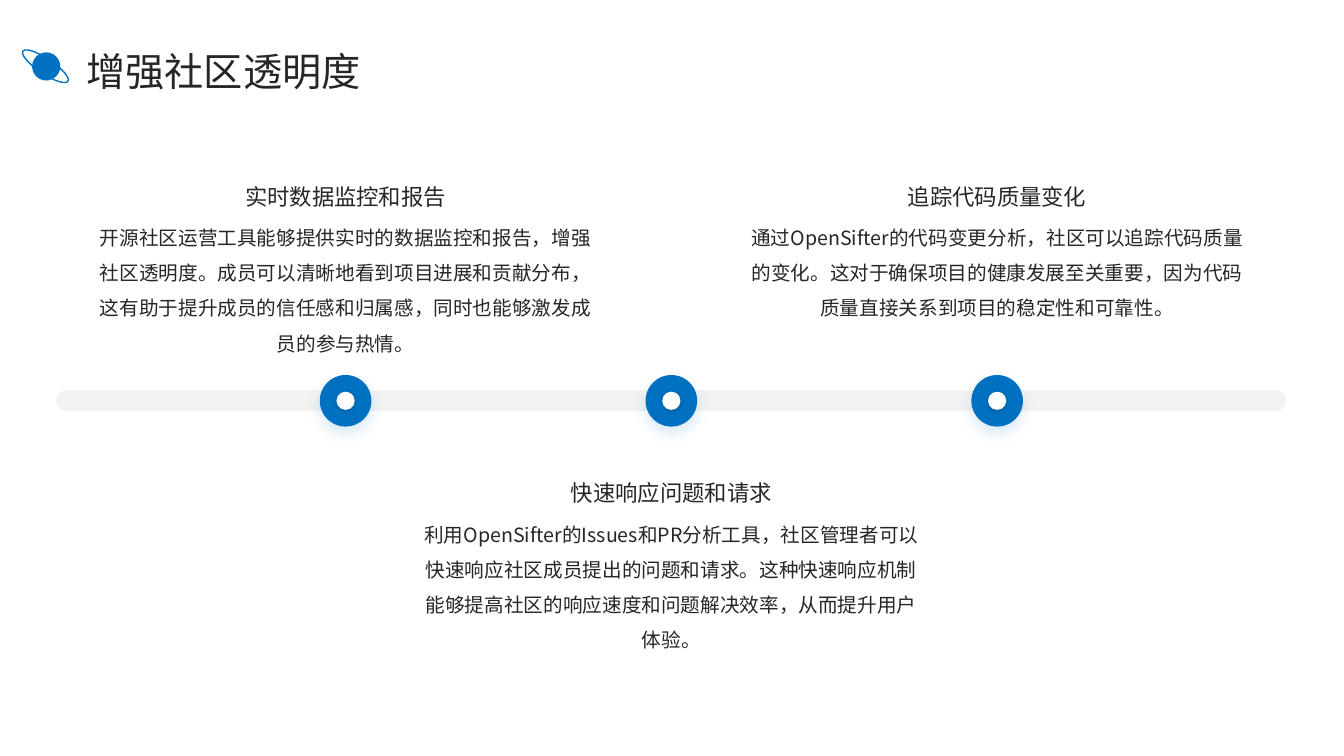
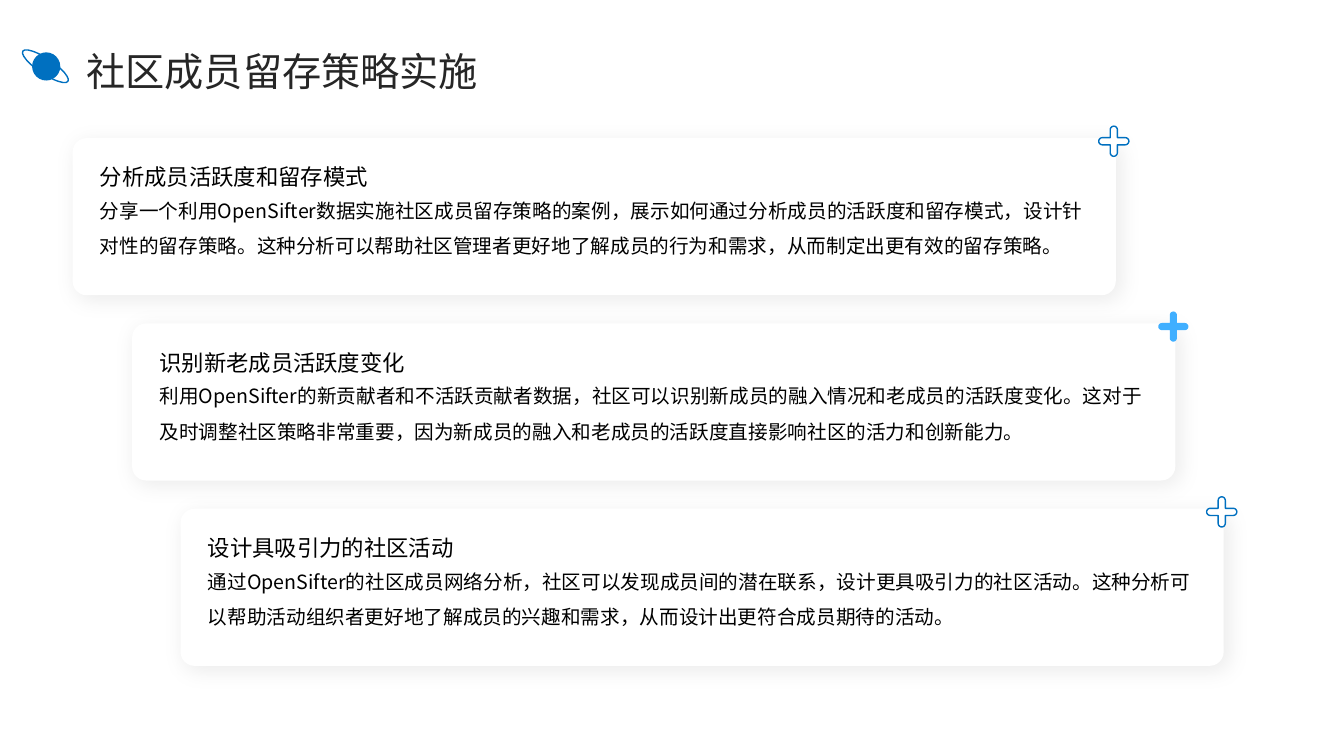
from dataclasses import dataclass
from math import cos, pi, sin
from typing import Optional

from lxml.etree import SubElement
from pptx import Presentation
from pptx.dml.color import RGBColor
from pptx.enum.lang import MSO_LANGUAGE_ID as Language
from pptx.enum.shapes import MSO_SHAPE as Preset
from pptx.enum.text import MSO_ANCHOR as Anchor, PP_ALIGN as Align
from pptx.oxml.ns import qn
from pptx.util import Cm, Pt

FONT = "Noto Sans CJK SC"
COLORS = {
    "blue": "0070C0",
    "sky": "40AFFF",
    "ink": "262626",
    "black": "000000",
    "white": "FFFFFF",
    "track": "F2F2F2",
}


@dataclass(frozen=True)
class Shadow:
    color: str
    opacity: int
    blur: float
    distance: float
    angle: int


@dataclass(frozen=True)
class Milestone:
    heading: str
    body: str
    top: float


@dataclass(frozen=True)
class Card:
    heading: str
    body: str
    left: float
    cross_fill: str
    cross_line: Optional[str]


MARKER_SHADOW = Shadow("blue", 15, 10, 5, 90)
DOT_SHADOW = Shadow("black", 15, 3, 1, 90)
CARD_SHADOW = Shadow("black", 8, 16, 3, 45)

MILESTONES = [
    Milestone(
        "实时数据监控和报告",
        "开源社区运营工具能够提供实时的数据监控和报告，增强社区透明度。成员可以清晰地看到项目进展和贡献分布，这有助于提升成员的信任感和归属感，同时也能够激发成员的参与热情。",
        3.81,
    ),
    Milestone(
        "快速响应问题和请求",
        "利用OpenSifter的Issues和PR分析工具，社区管理者可以快速响应社区成员提出的问题和请求。这种快速响应机制能够提高社区的响应速度和问题解决效率，从而提升用户体验。",
        11.29,
    ),
    Milestone(
        "追踪代码质量变化",
        "通过OpenSifter的代码变更分析，社区可以追踪代码质量的变化。这对于确保项目的健康发展至关重要，因为代码质量直接关系到项目的稳定性和可靠性。",
        3.81,
    ),
]

CARDS = [
    Card(
        "分析成员活跃度和留存模式",
        "分享一个利用OpenSifter数据实施社区成员留存策略的案例，展示如何通过分析成员的活跃度和留存模式，设计针对性的留存策略。这种分析可以帮助社区管理者更好地了解成员的行为和需求，从而制定出更有效的留存策略。",
        1.83, "white", "blue",
    ),
    Card(
        "识别新老成员活跃度变化",
        "利用OpenSifter的新贡献者和不活跃贡献者数据，社区可以识别新成员的融入情况和老成员的活跃度变化。这对于及时调整社区策略非常重要，因为新成员的融入和老成员的活跃度直接影响社区的活力和创新能力。",
        3.33, "sky", None,
    ),
    Card(
        "设计具吸引力的社区活动",
        "通过OpenSifter的社区成员网络分析，社区可以发现成员间的潜在联系，设计更具吸引力的社区活动。这种分析可以帮助活动组织者更好地了解成员的兴趣和需求，从而设计出更符合成员期待的活动。",
        4.55, "white", "blue",
    ),
]


def rgb(name: str) -> RGBColor:
    return RGBColor.from_string(COLORS[name])


def style_shape(shape, fill: Optional[str] = None, line: Optional[str] = None,
                shadow: Optional[Shadow] = None) -> None:
    if fill:
        shape.fill.solid()
        shape.fill.fore_color.rgb = rgb(fill)
    else:
        shape.fill.background()
    if line:
        shape.line.color.rgb = rgb(line)
        shape.line.width = Pt(1)
    else:
        shape.line.fill.background()
    shape.shadow.inherit = False
    if shadow:
        effects = shape._element.spPr.find(qn("a:effectLst"))
        outer = SubElement(effects, qn("a:outerShdw"), blurRad=str(Pt(shadow.blur)),
                           dist=str(Pt(shadow.distance)), dir=str(shadow.angle * 60000),
                           rotWithShape="0")
        color = SubElement(outer, qn("a:srgbClr"), val=COLORS[shadow.color])
        SubElement(color, qn("a:alpha"), val=str(shadow.opacity * 1000))


def add_preset(shapes, preset: Preset, left: float, top: float, width: float,
               height: float, **style):
    shape = shapes.add_shape(preset, Cm(left), Cm(top), Cm(width), Cm(height))
    style_shape(shape, **style)
    return shape


def add_circle(page, center_x: float, center_y: float, size: float, **style) -> None:
    add_preset(page.shapes, Preset.OVAL, center_x - size / 2, center_y - size / 2,
               size, size, **style)


def add_text(page, text: str, left: float, top: float, width: float, height: float, *,
             size: int, color: str = "ink", spacing: float = 1.5,
             align: Align = Align.LEFT, anchor: Anchor = Anchor.TOP) -> None:
    box = page.shapes.add_textbox(Cm(left), Cm(top), Cm(width), Cm(height))
    frame = box.text_frame
    frame.word_wrap = True
    frame.vertical_anchor = anchor
    frame.margin_left = frame.margin_right = frame.margin_top = frame.margin_bottom = 0
    para = frame.paragraphs[0]
    para.alignment = align
    para.line_spacing = spacing
    span = para.add_run()
    span.text = text
    span.font.size = Pt(size)
    span.font.name = FONT
    span.font.language_id = Language.SIMPLIFIED_CHINESE
    span.font.color.rgb = rgb(color)
    SubElement(span.font._element, qn("a:ea"), typeface=FONT)


def add_cross(page, center_x: float, center_y: float, **style) -> None:
    reach, radius, steps = 0.38, 0.09, 10
    points = []
    for arm in range(4):
        turn = arm * pi / 2
        outline = [(reach - radius + radius * cos(angle), radius * sin(angle))
                   for angle in (pi * step / steps - pi / 2 for step in range(steps + 1))]
        outline.append((radius, radius))
        points += [(Cm(center_x + x * cos(turn) - y * sin(turn)),
                    Cm(center_y + x * sin(turn) + y * cos(turn))) for x, y in outline]
    builder = page.shapes.build_freeform(*points[0], scale=1.0)
    builder.add_line_segments(points[1:], close=True)
    style_shape(builder.convert_to_shape(), **style)


def add_page(deck):
    return deck.slides.add_slide(deck.slide_layouts[6])


def add_title(page, title: str) -> None:
    add_text(page, title, 2.18, 1.07, 29.64, 1.3, size=28, spacing=1.1,
             anchor=Anchor.MIDDLE)
    planet = page.shapes.add_group_shape()
    add_preset(planet.shapes, Preset.OVAL, 0.81, 1.32, 0.71, 0.71, fill="blue")
    ring = add_preset(planet.shapes, Preset.OVAL, 0.46, 1.48, 1.37, 0.38, line="blue")
    ring.rotation = 33.8


def build_timeline(deck) -> None:
    page = add_page(deck)
    track = add_preset(page.shapes, Preset.ROUNDED_RECTANGLE, 1.42, 9.83, 30.99, 0.53,
                       fill="track")
    track.adjustments[0] = 0.5
    width = 12.5
    for index, item in enumerate(MILESTONES):
        center = 8.71 + index * 8.21
        left = center - width / 2
        add_text(page, item.heading, left, item.top, width, 1.47, size=16, spacing=1.3,
                 align=Align.CENTER, anchor=Anchor.BOTTOM)
        add_text(page, item.body, left, item.top + 1.58, width, 3.5, size=14,
                 align=Align.CENTER)
        add_circle(page, center, 10.1, 1.3, fill="blue", shadow=MARKER_SHADOW)
        add_circle(page, center, 10.1, 0.46, fill="white", shadow=DOT_SHADOW)
    add_title(page, "增强社区透明度")


def build_cards(deck) -> None:
    page = add_page(deck)
    for index, card in enumerate(CARDS):
        top = 3.48 + index * 4.67
        panel = add_preset(page.shapes, Preset.ROUNDED_RECTANGLE, card.left, top,
                           26.29, 3.96, fill="white", shadow=CARD_SHADOW)
        panel.adjustments[0] = 0.09
        text_left = card.left + 0.69
        add_text(page, card.body, text_left, top + 1.24, 24.92, 2.51, size=14,
                 color="black")
        add_text(page, card.heading, text_left, top + 0.3, 24.92, 1.09, size=16,
                 color="black")
        add_cross(page, card.left + 26.24, top + 0.08, fill=card.cross_fill,
                  line=card.cross_line)
    add_title(page, "社区成员留存策略实施")


def main() -> None:
    deck = Presentation()
    deck.slide_width = Cm(33.87)
    deck.slide_height = Cm(19.05)
    build_timeline(deck)
    build_cards(deck)
    deck.save("out.pptx")


if __name__ == "__main__":
    main()
